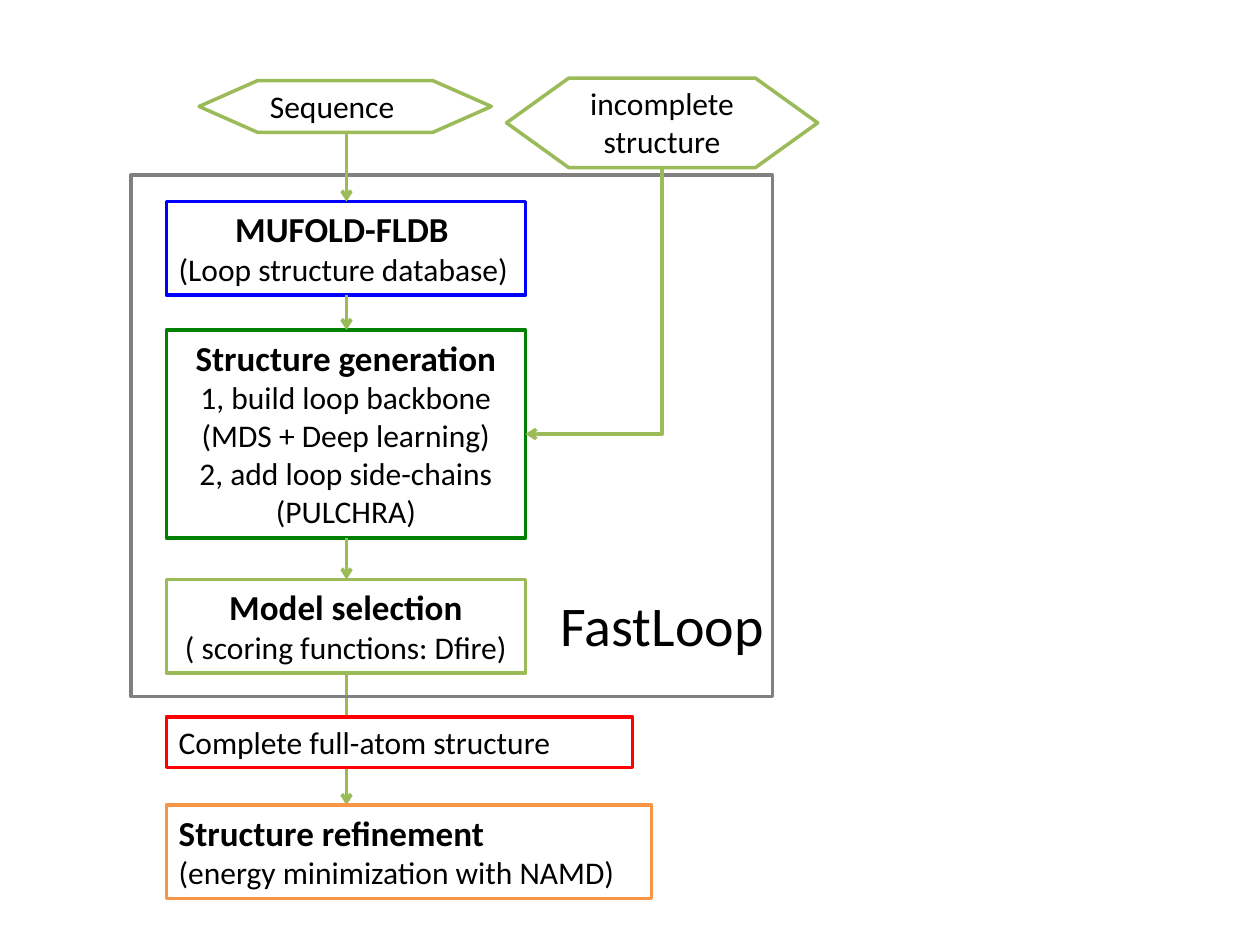
from lxml import etree
from pptx import Presentation
from pptx.dml.color import RGBColor
from pptx.enum import shapes, text
from pptx.oxml import ns
from pptx.util import Inches, Pt

COLORS = {"green": "9BBB59", "blue": "0000FF", "dark": "008000", "orange": "F79646",
          "red": "FF0000", "gray": "808080", "white": "FFFFFF", "black": "000000"}
KINDS = shapes.MSO_SHAPE
HEX, PROCESS, RECT = KINDS.FLOWCHART_PREPARATION, KINDS.FLOWCHART_PROCESS, KINDS.RECTANGLE
C, J, L = text.PP_ALIGN.CENTER, text.PP_ALIGN.JUSTIFY, text.PP_ALIGN.LEFT
LEFT, WIDTH, AXIS = 1.32, 2.85, 2.75

STEPS = [
    (HEX, "green", (1.58, 0.64, 2.32, 0.41), [("Sequence ", J, 18)]),
    (PROCESS, "blue", (LEFT, 1.6, WIDTH, 0.74),
     [("MUFOLD-FLDB ", C, 20), ("(Loop structure database)", J, 18)]),
    (PROCESS, "dark", (LEFT, 2.62, WIDTH, 1.65),
     [("Structure generation", C, 20), ("1, build loop backbone", C, 18),
      ("(MDS + Deep learning)", C, 18), ("2, add loop side-chains", C, 18),
      ("(PULCHRA)", C, 18)]),
    (PROCESS, "green", (LEFT, 4.6, WIDTH, 0.74),
     [("Model selection", C, 20), ("( scoring functions: Dfire)", C, 18)]),
    (PROCESS, "orange", (LEFT, 6.39, 3.85, 0.74),
     [("Structure refinement", J, 20), ("(energy minimization with NAMD)", J, 18)]),
]
RESULT = (RECT, "red", (LEFT, 5.69, 3.7, 0.4), [("Complete full-atom structure", J, 18)])
FRAME = (RECT, "gray", (1.04, 1.39, 5.09, 4.14), [])
INPUT = (HEX, "green", (4.02, 0.62, 2.47, 0.71), [("incomplete structure", C, 18)])
LABEL = ((4.35, 4.64, 1.85, 0.64), [("FastLoop", L, 32)])


def rgb(name):
    return RGBColor.from_string(COLORS[name])


def write(tf, lines, wrap=True):
    tf.word_wrap = wrap
    tf.auto_size = text.MSO_AUTO_SIZE.SHAPE_TO_FIT_TEXT
    tf.vertical_anchor = text.MSO_ANCHOR.TOP
    for i, (words, align, size) in enumerate(lines):
        p = tf.add_paragraph() if i else tf.paragraphs[0]
        p.text, p.alignment = words, align
        font = p.runs[0].font
        font.name, font.size, font.bold = "Calibri", Pt(size), size == 20
        font.color.rgb = rgb("black")


def add_box(s, kind, color, at, lines):
    sp = s.shapes.add_shape(kind, *map(Inches, at))
    sp.shadow.inherit = False
    sp.line.color.rgb, sp.line.width = rgb(color), Pt(2)
    if lines:
        sp.fill.solid()
        sp.fill.fore_color.rgb = rgb("white")
        write(sp.text_frame, lines)
    else:
        sp.fill.background()


def add_arrow(s, x1, y1, x2, y2):
    line = s.shapes.add_connector(shapes.MSO_CONNECTOR.STRAIGHT, *map(Inches, (x1, y1, x2, y2)))
    line.line.color.rgb, line.line.width = rgb("green"), Pt(2)
    ln = line.line._get_or_add_ln()
    etree.SubElement(ln, ns.qn("a:tailEnd"), type="arrow")
    etree.SubElement(line._element.spPr, ns.qn("a:effectLst"))
    return line


def add_elbow(s, x1, y1, x2, y2):
    """Draw an arrow that runs down from the start, then left to the end."""
    run, drop = x1 - x2, y2 - y1
    left, top = (x1 + x2 - drop) / 2, (y1 + y2 - run) / 2
    line = add_arrow(s, left, top, left + drop, top + run)
    sp_pr = line._element.spPr
    sp_pr.find(ns.qn("a:xfrm")).set("rot", str(90 * 60000))
    sp_pr.find(ns.qn("a:prstGeom")).set("prst", "bentConnector2")


def main():
    prs = Presentation()
    prs.slide_width, prs.slide_height = Inches(10), Inches(7.5)
    s = prs.slides.add_slide(prs.slide_layouts[6])
    spans = [(a[2][1] + a[2][3], b[2][1]) for a, b in zip(STEPS, STEPS[1:])]
    add_arrow(s, AXIS, spans[-1][0], AXIS, spans[-1][1])
    for box in STEPS + [RESULT, FRAME, INPUT]:
        add_box(s, *box)
    x, y, w, h = INPUT[2]
    target = STEPS[2][2]
    add_elbow(s, x + w / 2, y + h, LEFT + WIDTH, target[1] + target[3] / 2)
    for start, end in spans[:-1]:
        add_arrow(s, AXIS, start, AXIS, end)
    at, lines = LABEL
    write(s.shapes.add_textbox(*map(Inches, at)).text_frame, lines, wrap=False)
    prs.save("out.pptx")


if __name__ == "__main__":
    main()
